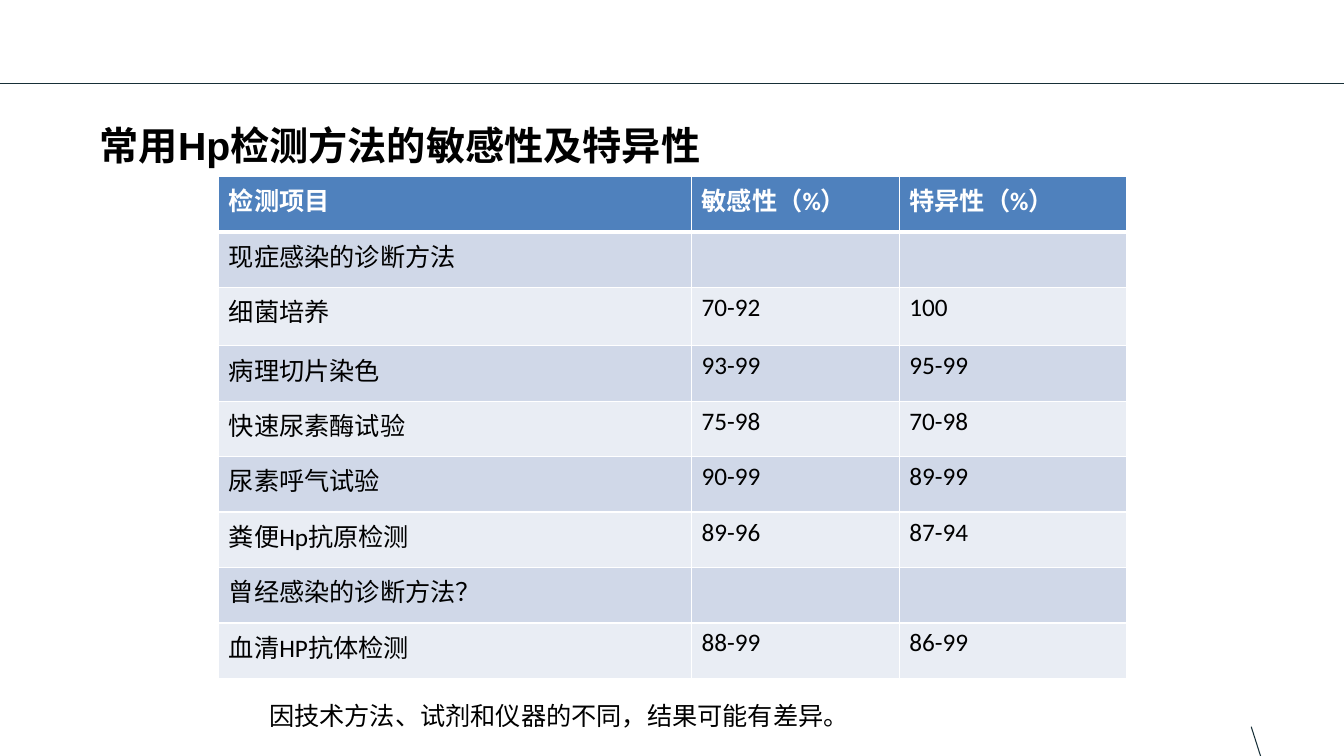
from dataclasses import dataclass

from lxml.etree import SubElement
from pptx import Presentation
from pptx.dml.color import RGBColor as RGB
from pptx.enum.shapes import MSO_CONNECTOR as CONN
from pptx.enum.text import MSO_ANCHOR as ANCHOR
from pptx.oxml import parse_xml
from pptx.oxml.ns import nsdecls, qn
from pptx.util import Inches, Pt


@dataclass(frozen=True)
class Theme:
    """Colours, fonts and type sizes of the slide."""
    ink: str = "000000"
    rule: str = "172F37"
    white: str = "FFFFFF"
    header: str = "4F81BD"
    bands: tuple = ("D0D8E8", "E9EDF4")
    title_font: str = "Arial"
    body_font: str = "Calibri"
    title_size: int = 28
    body_size: int = 18


T = Theme()
COLS = (4.69, 2.06, 2.25)
ROW_H = 0.55
ROW_HEIGHTS = {2: 0.58}
ROWS = (
    ("检测项目", "敏感性（%）", "特异性（%）"),
    ("现症感染的诊断方法", "", ""),
    ("细菌培养", "70-92", "100"),
    ("病理切片染色", "93-99", "95-99"),
    ("快速尿素酶试验", "75-98", "70-98"),
    ("尿素呼气试验", "90-99", "89-99"),
    ("粪便Hp抗原检测", "89-96", "87-94"),
    ("曾经感染的诊断方法？", "", ""),
    ("血清HP抗体检测", "88-99", "86-99"),
)


def add_run(p, text, font, size, color, bold=False):
    """Add one styled run to a paragraph."""
    r = p.add_run()
    r.text = text
    r.font.name, r.font.size, r.font.bold = font, Pt(size), bold
    r.font.color.rgb = RGB.from_string(color)


def add_box(s, box):
    """Add a wrapping text box and return its frame."""
    tf = s.shapes.add_textbox(*map(Inches, box)).text_frame
    tf.word_wrap = True
    return tf


def add_rule(s, start, end):
    """Draw a thin decorative line."""
    line = s.shapes.add_connector(CONN.STRAIGHT, *map(Inches, start + end))
    line.line.color.rgb = RGB.from_string(T.rule)
    line.line.width = Pt(0.75)
    SubElement(line._element.spPr, qn("a:effectLst"))


def add_title(s, box, text):
    """Place the slide title, centred vertically in its box."""
    tf = add_box(s, box)
    tf.margin_left = tf.margin_right = tf.margin_top = tf.margin_bottom = 0
    tf.vertical_anchor = ANCHOR.MIDDLE
    p = tf.paragraphs[0]
    p.line_spacing = 0.93
    add_run(p, text, T.title_font, T.title_size, T.ink, True)


def set_borders(cell, row):
    """Give a cell white borders, thick under the header row."""
    widths = {"L": 1, "R": 1, "T": 3 if row == 1 else 1, "B": 3 if row == 0 else 1}
    tc_pr = cell._tc.get_or_add_tcPr()
    for i, (side, width) in enumerate(widths.items()):
        tc_pr.insert(i, parse_xml(
            f'<a:ln{side} {nsdecls("a")} w="{Pt(width)}"><a:solidFill>'
            f'<a:srgbClr val="{T.white}"/></a:solidFill></a:ln{side}>'))


def add_methods_table(s, left, top):
    """Place the table of test methods with banded rows."""
    heights = [ROW_HEIGHTS.get(i, ROW_H) for i in range(len(ROWS))]
    box = left, top, sum(COLS), sum(heights)
    table = s.shapes.add_table(len(ROWS), len(COLS), *map(Inches, box)).table
    for col, width in zip(table.columns, COLS):
        col.width = Inches(width)
    for i, (values, height) in enumerate(zip(ROWS, heights)):
        table.rows[i].height = Inches(height)
        head = i == 0
        for j, text in enumerate(values):
            cell = table.cell(i, j)
            cell.fill.solid()
            cell.fill.fore_color.rgb = RGB.from_string(T.header if head else T.bands[(i - 1) % 2])
            set_borders(cell, i)
            if text:
                add_run(cell.text_frame.paragraphs[0], text, T.body_font, T.body_size,
                        T.white if head else T.ink, head)


def add_note(s, box, text):
    """Place the remark under the table."""
    add_run(add_box(s, box).paragraphs[0], text, T.body_font, T.body_size, T.ink)


def main():
    """Build and save the slide."""
    prs = Presentation()
    prs.slide_width, prs.slide_height = Inches(13.33), Inches(7.5)
    s = prs.slides.add_slide(prs.slide_layouts[6])
    add_rule(s, (0, 0.83), (13.33, 0.83))
    add_rule(s, (12.41, 7.21), (12.55, 7.65))
    add_title(s, (0.99, 1.1, 11.52, 0.72), "常用Hp检测方法的敏感性及特异性")
    add_methods_table(s, 2.17, 1.75)
    add_note(s, (2.57, 6.9, 8.19, 0.4), "因技术方法、试剂和仪器的不同，结果可能有差异。")
    prs.save("out.pptx")


if __name__ == "__main__":
    main()
